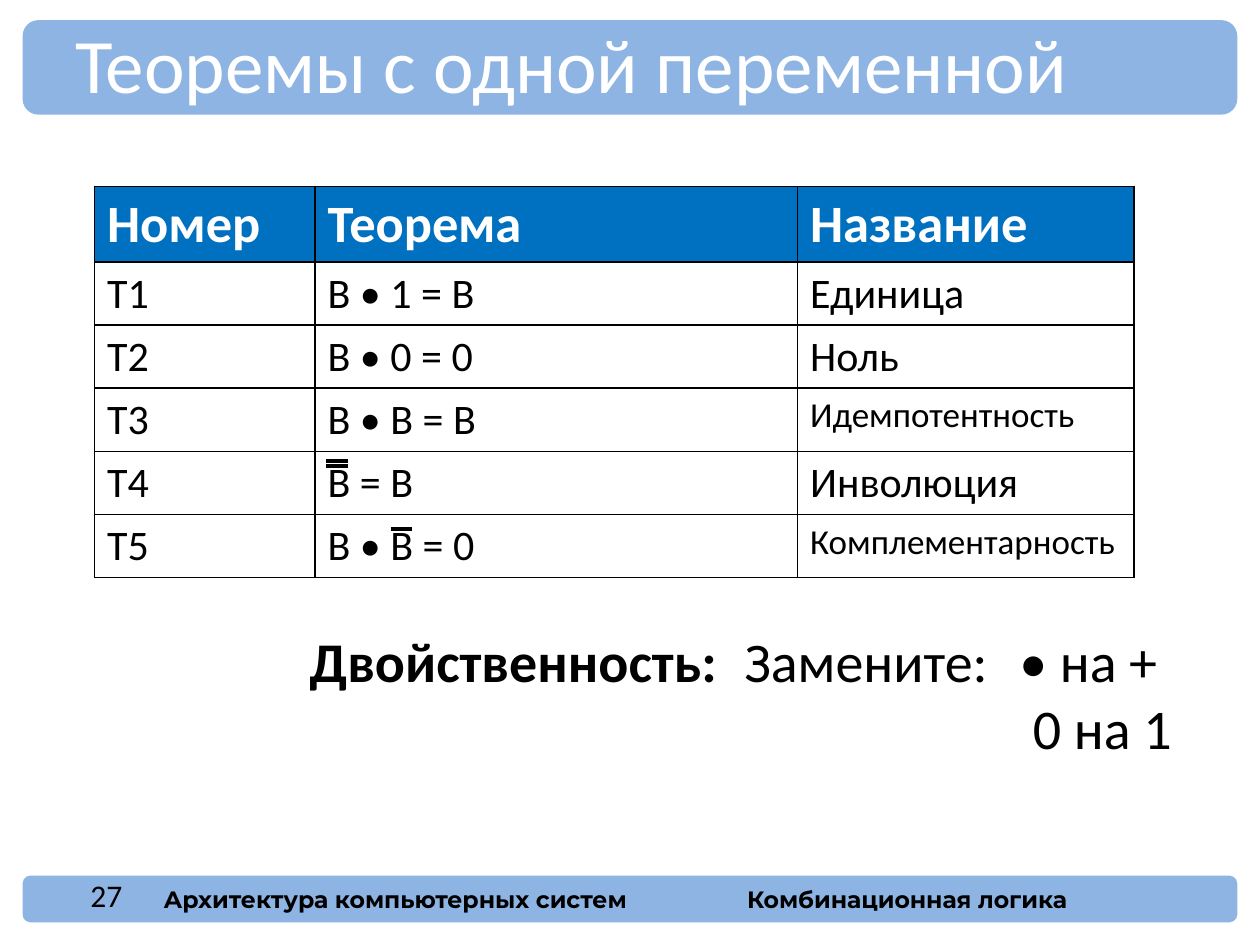
from dataclasses import dataclass

from lxml import etree
from pptx import Presentation
from pptx.dml.color import RGBColor
from pptx.enum.shapes import MSO_CONNECTOR, MSO_SHAPE
from pptx.enum.text import MSO_ANCHOR, PP_ALIGN
from pptx.oxml.ns import qn
from pptx.util import Inches, Pt

ROUNDED = MSO_SHAPE.ROUNDED_RECTANGLE
STRAIGHT = MSO_CONNECTOR.STRAIGHT
MIDDLE, TOP = MSO_ANCHOR.MIDDLE, MSO_ANCHOR.TOP
LEFT, CENTER, RIGHT = PP_ALIGN.LEFT, PP_ALIGN.CENTER, PP_ALIGN.RIGHT

GRID_COLUMNS, GRID_ROWS = 100, 75
CELL = Inches(0.1)
COLORS = {"band": "8EB4E3", "header": "0070C0", "white": "FFFFFF", "black": "000000"}
FORMATS = {
    "title": {"name": "Calibri", "size": 44, "color": "white"},
    "footer": {"name": "Montserrat", "size": 13.5, "color": "black", "bold": True},
    "number": {"name": "Calibri", "size": 18, "color": "black"},
    "header": {"name": "Calibri", "size": 30, "color": "white", "bold": True},
    "body": {"name": "Calibri", "size": 24, "color": "black", "bold": False},
    "small": {"name": "Calibri", "size": 20, "color": "black", "bold": False},
    "rule": {"name": "Calibri", "size": 32, "color": "black", "bold": False},
    "strong": {"name": "Calibri", "size": 32, "color": "black", "bold": True},
}
COLUMN_WIDTHS = [17.5, 38.3, 26.7]
HEADER_HEIGHT, ROW_HEIGHT = 6, 5
THEOREMS = [
    ("Номер", "Теорема", "Название"),
    ("T1", "B • 1 = B", "Единица"),
    ("T2", "B • 0 = 0", "Ноль"),
    ("T3", "B • B = B", "Идемпотентность"),
    ("T4", "B = B", "Инволюция"),
    ("T5", "B • B = 0", "Комплементарность"),
]
LONG_NAMES = {"Идемпотентность", "Комплементарность"}
OVERBARS = [(4, 0.9, 0.8), (4, 0.9, 1.2), (5, 6, 1.2)]
OVERBAR_WIDTH = 1.7


@dataclass
class Box:
    left: float
    top: float
    width: float
    height: float

    def inner(self, left, top, width, height):
        return Box(self.left + left, self.top + top, width, height)

    def lengths(self):
        return [round(value * CELL) for value in (self.left, self.top, self.width, self.height)]


def color(name):
    return RGBColor.from_string(COLORS[name])


def add_span(para, text, style):
    span = para.add_run()
    span.text = text
    for key, value in FORMATS[style].items():
        if key == "color":
            span.font.color.rgb = color(value)
        else:
            setattr(span.font, key, Pt(value) if key == "size" else value)


def add_text(page, box, text, style, align=LEFT, anchor=MIDDLE):
    frame = page.shapes.add_textbox(*box.lengths()).text_frame
    frame.word_wrap = True
    frame.vertical_anchor = anchor
    para = frame.paragraphs[0]
    para.alignment = align
    add_span(para, text, style)
    return frame


def add_band(page, box):
    band = page.shapes.add_shape(ROUNDED, *box.lengths())
    band.shadow.inherit = False
    band.fill.solid()
    band.fill.fore_color.rgb = color("band")
    band.line.fill.background()


def add_title(page, box):
    add_band(page, box)
    add_text(page, box.inner(3.2, -0.8, 90, 8.4), "Теоремы с одной переменной", "title")


def add_footer(page, box):
    add_band(page, box)
    add_text(page, box.inner(10.2, 0.2, 44.4, 3.3), "Архитектура компьютерных систем", "footer")
    add_text(page, box.inner(44.9, 0.2, 50.6, 3.3), "Комбинационная логика", "footer", CENTER)
    add_text(page, box.inner(1.8, -0.4, 7.1, 3.9), "27", "number", RIGHT)


def add_borders(cell):
    properties = cell._tc.get_or_add_tcPr()
    for position, side in enumerate(("lnL", "lnR", "lnT", "lnB")):
        border = etree.Element(qn(f"a:{side}"), w=str(Pt(1)))
        fill = etree.SubElement(border, qn("a:solidFill"))
        etree.SubElement(fill, qn("a:srgbClr"), val=COLORS["black"])
        properties.insert(position, border)


def add_overbar(page, box):
    left, top, width, _ = box.lengths()
    bar = page.shapes.add_connector(STRAIGHT, left, top, left + width, top)
    bar.line.color.rgb = color("black")
    bar.line.width = Pt(2)
    etree.SubElement(bar._element.spPr, qn("a:effectLst"))


def add_theorems(page, box):
    table = page.shapes.add_table(len(THEOREMS), len(COLUMN_WIDTHS), *box.lengths()).table
    for column, width in zip(table.columns, COLUMN_WIDTHS):
        column.width = round(width * CELL)
    for r, texts in enumerate(THEOREMS):
        table.rows[r].height = round((ROW_HEIGHT if r else HEADER_HEIGHT) * CELL)
        for c, text in enumerate(texts):
            cell = table.cell(r, c)
            cell.fill.solid()
            cell.fill.fore_color.rgb = color("white" if r else "header")
            add_borders(cell)
            style = "small" if text in LONG_NAMES else "body"
            add_span(cell.text_frame.paragraphs[0], text, style if r else "header")
    for r, left, top in OVERBARS:
        row_top = HEADER_HEIGHT + (r - 1) * ROW_HEIGHT
        add_overbar(page, box.inner(COLUMN_WIDTHS[0] + left, row_top + top, OVERBAR_WIDTH, 0))


def add_duality(page, box):
    frame = add_text(page, box, "Двойственность:", "strong", anchor=TOP)
    first = frame.paragraphs[0]
    stops = etree.SubElement(first._p.get_or_add_pPr(), qn("a:tabLst"))
    for share in (0.49, 0.8):
        position = round(share * box.width * CELL)
        etree.SubElement(stops, qn("a:tab"), pos=str(position), algn="l")
    add_span(first, "\tЗамените:\t• на +", "rule")
    second = frame.add_paragraph()
    second.alignment = RIGHT
    add_span(second, "0 на 1", "rule")


def main():
    deck = Presentation()
    deck.slide_width = GRID_COLUMNS * CELL
    deck.slide_height = GRID_ROWS * CELL
    page = deck.slides.add_slide(deck.slide_layouts[6])
    add_footer(page, Box(1.8, 69.5, 96.4, 3.7))
    add_title(page, Box(1.8, 1.6, 96.4, 7.5))
    add_theorems(page, Box(7.5, 14.8, sum(COLUMN_WIDTHS), 31))
    add_duality(page, Box(23.6, 49.2, 70.4, 11.8))
    deck.save("out.pptx")


if __name__ == "__main__":
    main()
